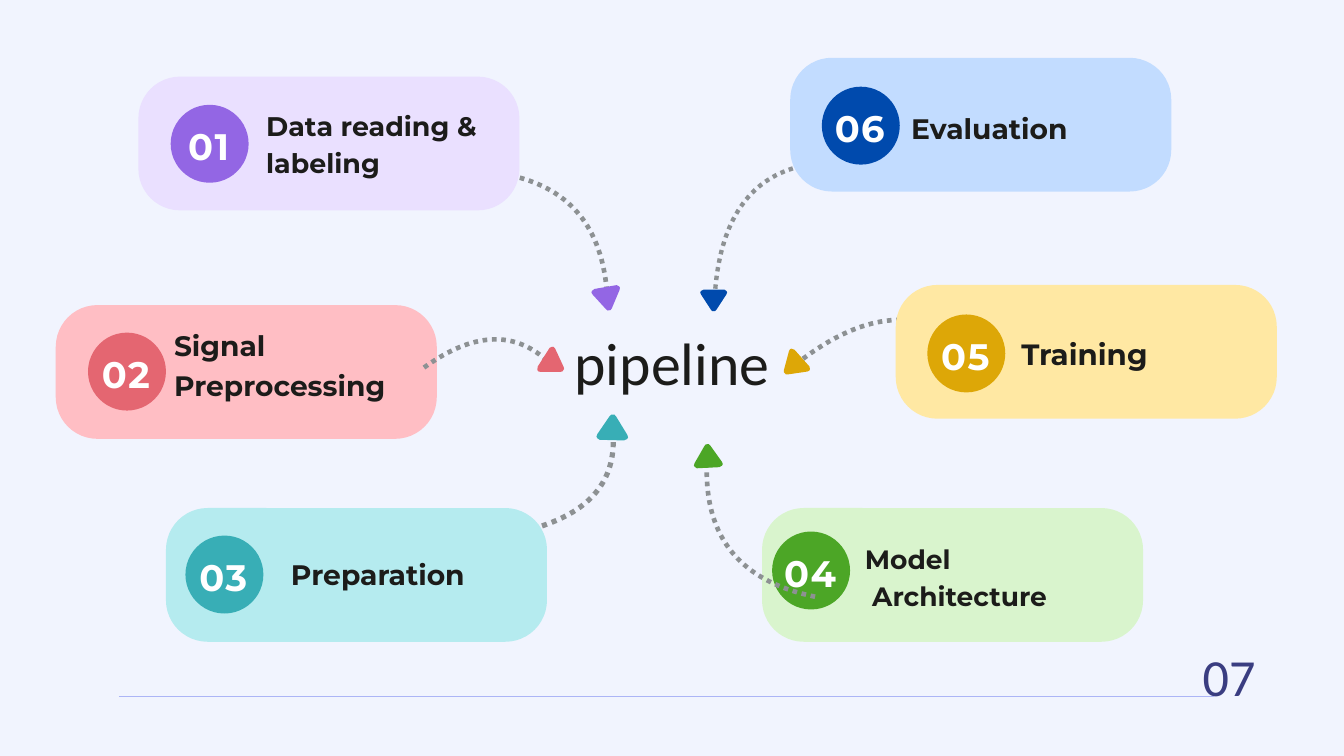
from dataclasses import dataclass

from lxml import etree
from pptx import Presentation
from pptx.dml.color import RGBColor
from pptx.enum.dml import MSO_LINE
from pptx.enum.shapes import MSO_CONNECTOR, MSO_SHAPE
from pptx.enum.text import MSO_ANCHOR, MSO_AUTO_SIZE, PP_ALIGN
from pptx.oxml.ns import qn
from pptx.util import Inches, Pt

DOTTED = MSO_LINE.ROUND_DOT
STRAIGHT = MSO_CONNECTOR.STRAIGHT
ROUNDED, OVAL = MSO_SHAPE.ROUNDED_RECTANGLE, MSO_SHAPE.OVAL
TOP, FIXED = MSO_ANCHOR.TOP, MSO_AUTO_SIZE.NONE
LEFT, CENTER = PP_ALIGN.LEFT, PP_ALIGN.CENTER


@dataclass
class Theme:
    background: str = "F1F4FE"
    ink: str = "1C1C1A"
    white: str = "FFFFFF"
    page_number: str = "3A3D81"
    rule: str = "ACB5F6"
    arrow: str = "8D9193"
    heading_font: str = "Montserrat"
    body_font: str = "Calibri"
    title_size: float = 64.1
    number_size: float = 39.5
    page_number_size: float = 55.8


theme = Theme()
CARD_SIZE = (5.67, 1.99)
CARD_RADIUS = 0.62
DISC = 1.16
CURVE_POINTS = 40

# Rounded triangle pointing up, in hundredths of an inch
ARROWHEAD = [(24, 2), (39, 25), (40, 28), (39, 30), (35, 32), (4, 32), (1, 30),
             (0, 28), (1, 25), (16, 2), (18, 0.5), (20, 0), (22, 0.5)]

# curve: start, two control points, end; head: left, top, width, height, turn
STEPS = [
    dict(number="01", label=["Data reading & labeling"], size=28.8,
         color="9366E4", tint="EAE0FF", card=(2.06, 1.14), disc=(2.54, 1.56),
         text=(3.96, 1.55, 3.99, 1.08), weight=5, in_front=False,
         curve=[(7.19, 2.55), (8.38, 2.65), (8.99, 3.29), (9.04, 4.48)],
         head=(8.82, 4.27, 0.43, 0.35, 170.2)),
    dict(number="02", label=["Signal Preprocessing"], size=30.1,
         color="E46671", tint="FFBEC4", card=(0.83, 4.54), disc=(1.31, 4.95),
         text=(2.59, 4.81, 3.48, 1.15), weight=5, in_front=True,
         curve=[(6.31, 5.47), (7.1, 4.9), (7.75, 4.91), (8.27, 5.5)],
         head=(8.02, 5.24, 0.43, 0.35, 122.5)),
    dict(number="03", label=["Preparation"], size=30.2,
         color="38AEB6", tint="B5EBEF", card=(2.47, 7.56), disc=(2.76, 7.97),
         text=(4.33, 8.21, 2.78, 0.56), weight=5.53, in_front=False,
         curve=[(7.77, 7.91), (8.78, 7.67), (9.22, 7.15), (9.11, 6.33)],
         head=(8.88, 6.17, 0.47, 0.38, 1.5)),
    dict(number="04", label=["Model", "Architecture"], size=28.4,
         color="4CA626", tint="D9F4CD", card=(11.34, 7.56), disc=(11.49, 7.91),
         text=(12.87, 8, 4.56, 1.06), weight=5, in_front=True,
         curve=[(12.13, 8.88), (10.96, 8.64), (10.43, 7.93), (10.53, 6.74)],
         head=(10.32, 6.61, 0.43, 0.35, 357.2)),
    dict(number="05", label=["Training"], size=31.4,
         color="DDA707", tint="FFE8A3", card=(13.33, 4.24), disc=(13.8, 4.68),
         text=(15.2, 4.92, 2.87, 0.59), weight=4.98, in_front=False,
         curve=[(14.53, 5.23), (13.75, 4.53), (12.83, 4.61), (11.77, 5.48)],
         head=(11.59, 5.27, 0.43, 0.34, 228.3)),
    dict(number="06", label=["Evaluation"], size=30.2,
         color="004AAD", tint="C2DCFF", card=(11.76, 0.86), disc=(12.23, 1.29),
         text=(13.56, 1.58, 2.78, 0.56), weight=4.68, in_front=False,
         curve=[(12.18, 2.43), (11.2, 2.53), (10.68, 3.23), (10.63, 4.53)],
         head=(10.42, 4.31, 0.4, 0.32, 180)),
]

deck = Presentation()
deck.slide_width, deck.slide_height = Inches(20), Inches(11.25)
page = deck.slides.add_slide(deck.slide_layouts[5])
page.background.fill.solid()
page.background.fill.fore_color.rgb = RGBColor.from_string(theme.background)


def write(box, lines, size, color, font, align=LEFT, leading=1.4, bold=False, tracking=0):
    """Fill a box with one paragraph per line, without insets."""
    frame = box.text_frame
    frame.word_wrap, frame.auto_size, frame.vertical_anchor = True, FIXED, TOP
    frame.margin_left = frame.margin_right = frame.margin_top = frame.margin_bottom = 0
    for index, line in enumerate(lines):
        para = frame.add_paragraph() if index else frame.paragraphs[0]
        para.alignment = align
        para.line_spacing = Pt(round(size * leading, 1))
        para.space_before = Pt(0)
        if index:
            para._p.get_or_add_pPr().set("marL", str(Inches(0.11)))
        span = para.add_run()
        span.text = line
        span.font.name, span.font.size, span.font.bold = font, Pt(size), bold
        span.font.color.rgb = RGBColor.from_string(color)
        if tracking:
            span.font._element.set("spc", str(tracking))


def add_arrow(step):
    """Draw the dotted curve of a step and its rounded arrowhead."""
    points = []
    for index in range(CURVE_POINTS + 1):
        t = index / CURVE_POINTS
        s = 1 - t
        points.append([Inches(s**3 * a + 3 * s * s * t * b + 3 * s * t * t * c + t**3 * d)
                       for a, b, c, d in zip(*step["curve"])])
    builder = page.shapes.build_freeform(*points[0])
    builder.add_line_segments(points[1:], close=False)
    curve = builder.convert_to_shape()
    curve.shadow.inherit = False
    curve.fill.background()
    curve.line.color.rgb = RGBColor.from_string(theme.arrow)
    curve.line.width, curve.line.dash_style = Pt(step["weight"]), DOTTED
    etree.SubElement(curve.line._get_or_add_ln(), qn("a:tailEnd"),
                     type="triangle", w="sm", len="sm")

    builder = page.shapes.build_freeform(*ARROWHEAD[0], scale=Inches(0.01))
    builder.add_line_segments(ARROWHEAD[1:])
    head = builder.convert_to_shape()
    *area, head.rotation = step["head"]
    head.left, head.top, head.width, head.height = map(Inches, area)
    head.shadow.inherit = False
    head.fill.solid()
    head.fill.fore_color.rgb = RGBColor.from_string(step["color"])
    head.line.fill.background()


# Central title
title = page.shapes.title
title.left, title.top, title.width, title.height = map(Inches, (6.92, 4.97, 6.16, 0.97))
write(title, ["pipeline"], theme.title_size, theme.ink, theme.body_font, CENTER, 1.06)

# Arrows that start behind their cards
for step in STEPS:
    if not step["in_front"]:
        add_arrow(step)

# Step cards with numbered discs
for step in STEPS:
    x, y = step["disc"]
    card = page.shapes.add_shape(ROUNDED, *map(Inches, step["card"] + CARD_SIZE))
    card.adjustments[0] = CARD_RADIUS / CARD_SIZE[1]
    disc = page.shapes.add_shape(OVAL, *map(Inches, (x, y, DISC, DISC)))
    for shape, color in ((card, step["tint"]), (disc, step["color"])):
        shape.shadow.inherit = False
        shape.fill.solid()
        shape.fill.fore_color.rgb = RGBColor.from_string(color)
        shape.line.fill.background()
    number = page.shapes.add_textbox(*map(Inches, (x + 0.15, y + 0.17, 0.83, 0.73)))
    write(number, [step["number"]], theme.number_size, theme.white,
          theme.heading_font, CENTER, bold=True, tracking=160)
    label = page.shapes.add_textbox(*map(Inches, step["text"]))
    write(label, step["label"], step["size"], theme.ink, theme.heading_font, bold=True)

# Arrows that run over their cards
for step in STEPS:
    if step["in_front"]:
        add_arrow(step)

# Footer with page number and rule
page_number = page.shapes.add_textbox(*map(Inches, (17.7, 9.87, 1.18, 0.72)))
write(page_number, ["07"], theme.page_number_size, theme.page_number,
      theme.body_font, CENTER, 0.84)
rule = page.shapes.add_connector(STRAIGHT, *map(Inches, (1.77, 10.37, 18.07, 10.37)))
rule.line.color.rgb = RGBColor.from_string(theme.rule)
rule.line.width = Pt(0.75)
etree.SubElement(rule._element.spPr, qn("a:effectLst"))

deck.save("out.pptx")
